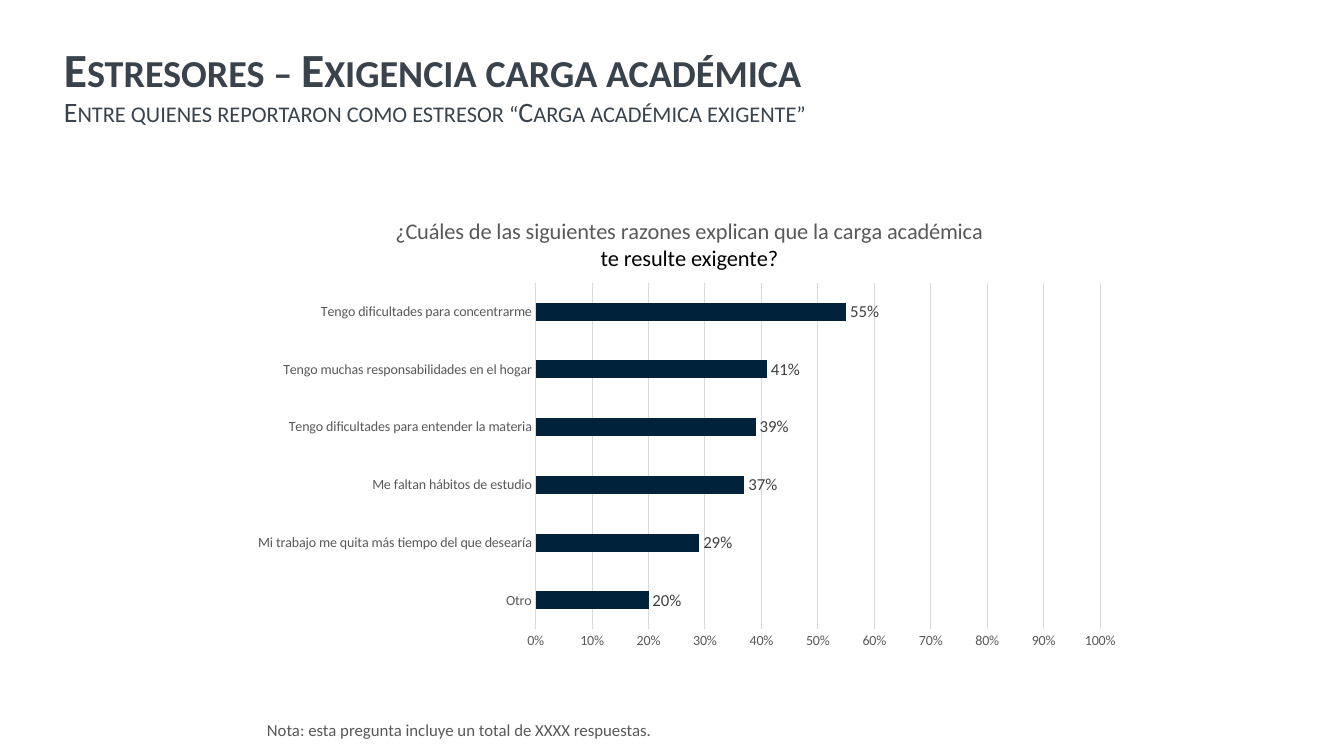
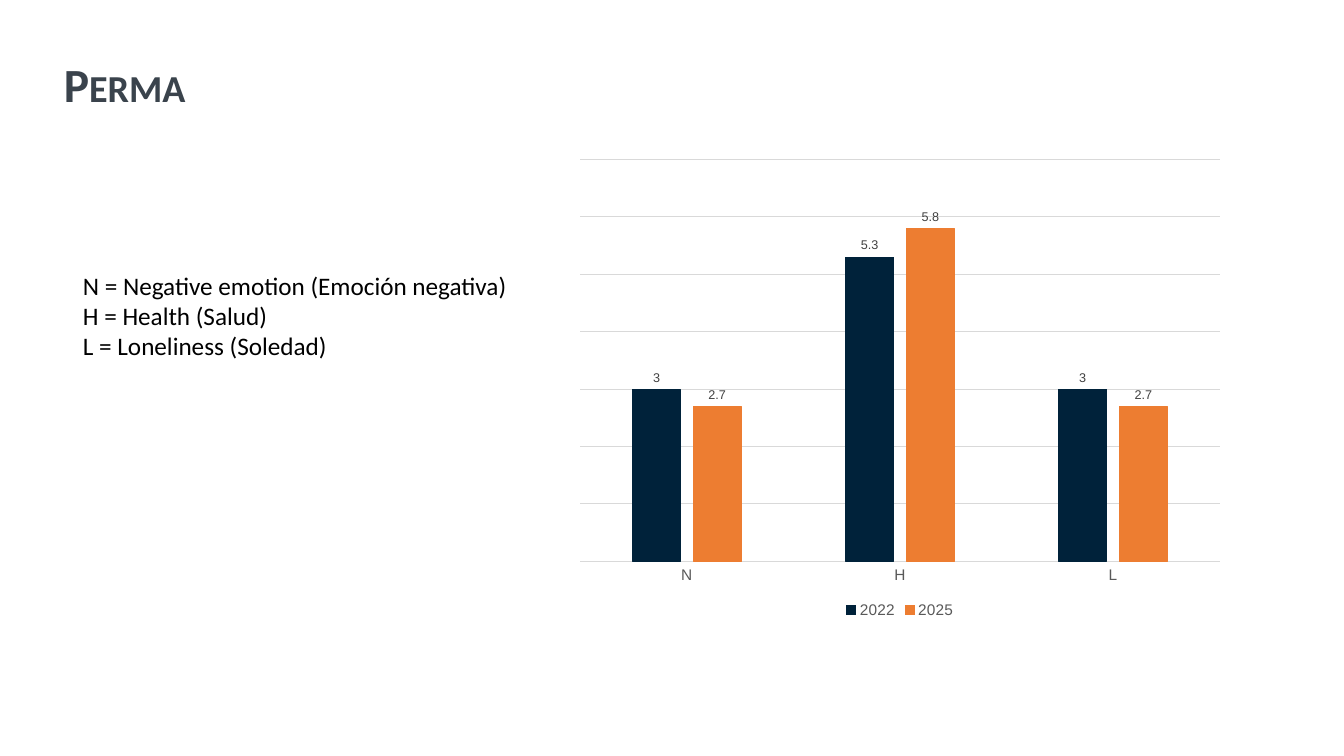
from dataclasses import dataclass

from lxml.etree import SubElement
from pptx import Presentation
from pptx.chart.data import CategoryChartData
from pptx.dml.color import RGBColor as RGB
from pptx.enum.chart import XL_CHART_TYPE as ChartType
from pptx.enum.chart import XL_LABEL_POSITION as LabelPos
from pptx.enum.chart import XL_LEGEND_POSITION as LegendPos
from pptx.enum.chart import XL_TICK_MARK as Tick
from pptx.enum.text import MSO_ANCHOR as Anchor
from pptx.oxml.ns import qn
from pptx.util import Emu, Pt


@dataclass(frozen=True)
class Theme:
    title: str = "3A434C"
    navy: str = "00223A"
    orange: str = "ED7D31"
    grey: str = "595959"
    label: str = "404040"
    grid: str = "D9D9D9"
    black: str = "000000"
    text_font: str = "Calibri"
    chart_font: str = "Arial"
    title_size: int = 34
    subtitle_size: int = 20
    body_size: int = 18
    chart_title_size: int = 16
    note_size: int = 12
    legend_size: int = 11
    axis_size: int = 10
    small_size: int = 9


T = Theme()
SLIDE_W, SLIDE_H = 1344, 756
TITLE_BOX = (54, 40, 1283, 95)


def px(n):
    return Emu(round(n * 12192000 / SLIDE_W))


def style(font, size, color, name=T.text_font, bold=False):
    font.name, font.size, font.bold = name, Pt(size), bold
    font.color.rgb = RGB.from_string(color)


def add_text(s, box, lines, size, color):
    tf = s.shapes.add_textbox(*map(px, box)).text_frame
    tf.word_wrap = True
    tf.text = "\n".join(lines)
    for p in tf.paragraphs:
        for r in p.runs:
            style(r.font, size, color)
    return tf


def add_title(s, title, subtitle=None):
    tf = add_text(s, TITLE_BOX, [], T.title_size, T.title)
    tf.vertical_anchor = Anchor.MIDDLE
    p = tf.paragraphs[0]
    p.line_spacing = 0.9
    p.text = f"{title}\v{subtitle}" if subtitle else title
    for r, size in zip(p.runs, (T.title_size, T.subtitle_size)):
        style(r.font, size, T.title, bold=size == T.title_size)
        r.font._element.set("cap", "small")


def place(parent, inner=False, **fractions):
    """Fix a chart part at the given fractions of the chart area."""
    layout = parent.find(qn("c:layout"))
    if layout is None:
        layout = SubElement(parent, qn("c:layout"))
        parent.insert(0, layout)
    manual = SubElement(layout, qn("c:manualLayout"))
    values = {"layoutTarget": "inner"} if inner else {}
    values.update(xMode="edge", yMode="edge", **fractions)
    for tag, value in values.items():
        SubElement(manual, qn(f"c:{tag}")).set("val", str(value))


def set_line(line, color):
    line.color.rgb = RGB.from_string(color)
    line.width = Pt(0.75)


def add_bars(s, kind, box, cats, series, colors, top, step, plot_area):
    data = CategoryChartData()
    data.categories = cats
    for name, values in series.items():
        data.add_series(name, values)
    chart = s.shapes.add_chart(kind, *map(px, box), data).chart
    chart.has_title = chart.has_legend = False
    style(chart.font, T.axis_size, T.black, T.chart_font)
    plot = chart.plots[0]
    plot.gap_width, plot.vary_by_categories = 219, False
    for ser, color in zip(plot.series, colors):
        ser.format.fill.solid()
        ser.format.fill.fore_color.rgb = RGB.from_string(color)
        ser.invert_if_negative = False
    for axis in (chart.category_axis, chart.value_axis):
        axis.major_tick_mark = axis.minor_tick_mark = Tick.NONE
    set_line(chart.category_axis.format.line, T.grid)
    values = chart.value_axis
    values.minimum_scale, values.maximum_scale, values.major_unit = 0, top, step
    values.has_major_gridlines = True
    set_line(values.major_gridlines.format.line, T.grid)
    place(chart._chartSpace.chart.plotArea, True, **plot_area)
    return chart


def label_bars(chart, size, font, number_format):
    for ser in chart.plots[0].series:
        labels = ser.data_labels
        labels.show_value = True
        labels.position = LabelPos.OUTSIDE_END
        labels.number_format, labels.number_format_is_linked = number_format, False
        style(labels.font, size, T.label, font)


def add_chart_title(chart, lines, colors, **fractions):
    title = chart.chart_title
    title.text_frame.text = "\n".join(lines)
    for p, color in zip(title.text_frame.paragraphs, colors):
        style(p.runs[0].font, T.chart_title_size, color)
    title.include_in_layout = False
    place(title._element, **fractions)


def build_stressors(s):
    add_title(s, "Estresores – Exigencia carga académica",
              "Entre quienes reportaron como estresor “Carga académica exigente”")
    reasons = {
        "Otro": 0.2,
        "Mi trabajo me quita más tiempo del que desearía": 0.29,
        "Me faltan hábitos de estudio": 0.37,
        "Tengo dificultades para entender la materia": 0.39,
        "Tengo muchas responsabilidades en el hogar": 0.41,
        "Tengo dificultades para concentrarme": 0.55,
    }
    chart = add_bars(s, ChartType.BAR_CLUSTERED, (240, 195, 896, 462),
                     reasons.keys(), {"Series 1": reasons.values()}, [T.navy],
                     1, 0.1, dict(x=0.33, y=0.19, w=0.63, h=0.75))
    for axis in (chart.category_axis, chart.value_axis):
        style(axis.tick_labels.font, T.axis_size, T.grey)
    ticks = chart.value_axis.tick_labels
    ticks.number_format, ticks.number_format_is_linked = "0%", False
    chart.value_axis.format.line.fill.background()
    label_bars(chart, T.note_size, T.text_font, "0%")
    add_chart_title(chart, ["¿Cuáles de las siguientes razones explican que la carga académica",
                            "te resulte exigente?"], [T.grey, T.black], x=0.17, y=0.04)
    add_text(s, (257, 715, 744, 30),
             ["Nota: esta pregunta incluye un total de XXXX respuestas."],
             T.note_size, T.grey)


def build_perma(s):
    add_title(s, "Perma")
    add_text(s, (73, 265, 495, 102),
             ["N = Negative emotion (Emoción negativa)", "H = Health (Salud)",
              "L = Loneliness (Soledad)"], T.body_size, T.black)
    colors = [T.navy, T.orange]
    chart = add_bars(s, ChartType.COLUMN_CLUSTERED, (567, 150, 666, 473), "NHL",
                     {"2022": (3, 5.3, 3), "2025": (2.7, 5.8, 2.7)}, colors,
                     7, 1, dict(x=0.02, y=0.02, w=0.96, h=0.85))
    chart.plots[0].overlap = -27
    for ser, color in zip(chart.plots[0].series, colors):
        set_line(ser.format.line, color)
    chart.value_axis.visible = False
    style(chart.category_axis.tick_labels.font, T.legend_size, T.grey, T.chart_font)
    label_bars(chart, T.small_size, T.chart_font, "General")
    chart.has_legend = True
    chart.legend.position = LegendPos.BOTTOM
    chart.legend.include_in_layout = False
    style(chart.legend.font, T.legend_size, T.grey, T.chart_font)


def main():
    prs = Presentation()
    prs.slide_width, prs.slide_height = px(SLIDE_W), px(SLIDE_H)
    for build in (build_stressors, build_perma):
        build(prs.slides.add_slide(prs.slide_layouts[6]))
    prs.save("out.pptx")


if __name__ == "__main__":
    main()
